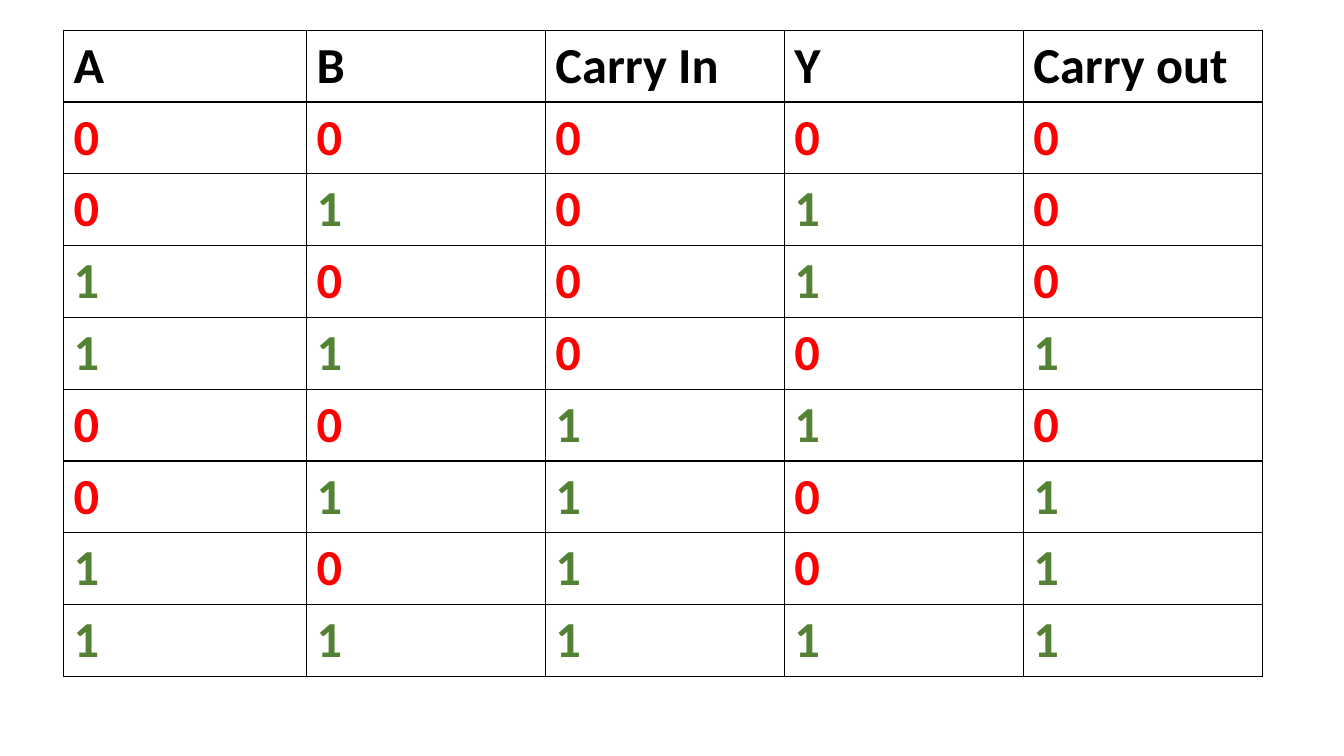
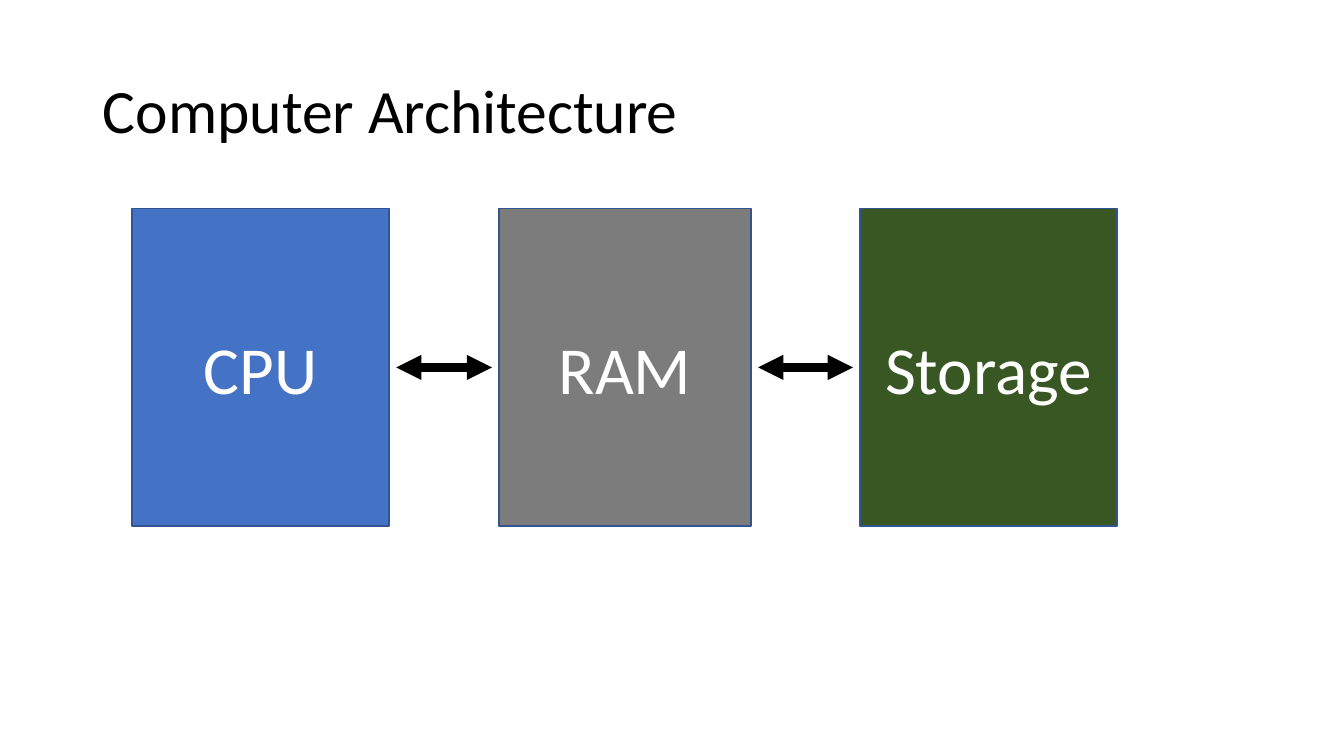
"""Build two slides: a full adder truth table and a computer architecture diagram."""
from dataclasses import dataclass
from itertools import pairwise, product

from lxml.etree import SubElement
from pptx import Presentation
from pptx.dml.color import RGBColor
from pptx.enum.shapes import MSO_CONNECTOR, MSO_SHAPE
from pptx.enum.text import MSO_ANCHOR, MSO_AUTO_SIZE, PP_ALIGN
from pptx.oxml.ns import qn
from pptx.presentation import Presentation as Deck
from pptx.slide import Slide
from pptx.table import _Cell as Cell
from pptx.text.text import _Paragraph as Paragraph
from pptx.util import Inches, Pt

TITLE_ONLY, BLANK = 5, 6


@dataclass(frozen=True)
class Theme:
    font: str = "Calibri"
    ink: str = "000000"
    paper: str = "FFFFFF"
    zero: str = "FF0000"
    one: str = "548235"
    cpu: str = "4472C4"
    ram: str = "7C7C7C"
    storage: str = "385723"
    outline: str = "325491"
    title_size: int = 44
    block_size: int = 48
    table_size: int = 36
    thin: int = 1
    thick: int = 6


@dataclass(frozen=True)
class Block:
    label: str
    left: float
    width: float
    fill: str

    @property
    def right(self) -> float:
        return self.left + self.width


THEME = Theme()
HEADINGS = ("A", "B", "Carry In", "Y", "Carry out")
COLUMN_WIDTHS = (2.41, 2.37, 2.37, 2.37, 2.37)
ROW_HEIGHT = 0.71
BLOCK_TOP, BLOCK_HEIGHT = 2.07, 3.15
ARROW_GAP = 0.07
BLOCKS = (
    Block("CPU", 1.31, 2.55, THEME.cpu),
    Block("RAM", 4.95, 2.5, THEME.ram),
    Block("Storage", 8.53, 2.55, THEME.storage),
)


def rgb(colour: str) -> RGBColor:
    return RGBColor.from_string(colour)


def style(paragraph: Paragraph, size: int, colour: str, bold: bool = False) -> None:
    font = paragraph.font
    font.name, font.size, font.bold = THEME.font, Pt(size), bold
    font.color.rgb = rgb(colour)


def adder_rows() -> list[tuple[int, ...]]:
    rows = []
    for carry_in, a, b in product((0, 1), repeat=3):
        carry_out, y = divmod(a + b + carry_in, 2)
        rows.append((a, b, carry_in, y, carry_out))
    return rows


def add_borders(cell: Cell) -> None:
    properties = cell._tc.get_or_add_tcPr()
    for side in ("a:lnL", "a:lnR", "a:lnT", "a:lnB"):
        border = SubElement(properties, qn(side), w=str(Pt(THEME.thin)))
        fill = SubElement(border, qn("a:solidFill"))
        SubElement(fill, qn("a:srgbClr"), val=THEME.ink)


def fill_cell(cell: Cell, text: str, colour: str) -> None:
    cell.text = text
    style(cell.text_frame.paragraphs[0], THEME.table_size, colour, bold=True)
    add_borders(cell)
    cell.fill.background()


def add_truth_table(slide: Slide) -> None:
    rows = [HEADINGS, *adder_rows()]
    table = slide.shapes.add_table(
        len(rows), len(HEADINGS), Inches(0.63), Inches(0.3),
        Inches(sum(COLUMN_WIDTHS)), Inches(ROW_HEIGHT * len(rows)),
    ).table
    table.first_row = table.horz_banding = False
    for column, width in zip(table.columns, COLUMN_WIDTHS):
        column.width = Inches(width)
    colours = {0: THEME.zero, 1: THEME.one}
    for row, values in zip(table.rows, rows):
        row.height = Inches(ROW_HEIGHT)
        for cell, value in zip(row.cells, values):
            fill_cell(cell, str(value), colours.get(value, THEME.ink))


def set_title(slide: Slide, text: str) -> None:
    title = slide.shapes.title
    title.left, title.top = Inches(0.92), Inches(0.4)
    title.width, title.height = Inches(11.5), Inches(1.45)
    frame = title.text_frame
    frame.text = text
    frame.auto_size = MSO_AUTO_SIZE.NONE
    frame.vertical_anchor = MSO_ANCHOR.MIDDLE
    paragraph = frame.paragraphs[0]
    paragraph.alignment, paragraph.line_spacing = PP_ALIGN.LEFT, 0.9
    style(paragraph, THEME.title_size, THEME.ink)


def add_block(slide: Slide, block: Block) -> None:
    box = slide.shapes.add_shape(
        MSO_SHAPE.RECTANGLE, Inches(block.left), Inches(BLOCK_TOP),
        Inches(block.width), Inches(BLOCK_HEIGHT),
    )
    box.shadow.inherit = False
    box.fill.solid()
    box.fill.fore_color.rgb = rgb(block.fill)
    box.line.color.rgb, box.line.width = rgb(THEME.outline), Pt(THEME.thin)
    frame = box.text_frame
    frame.text = block.label
    frame.vertical_anchor = MSO_ANCHOR.MIDDLE
    paragraph = frame.paragraphs[0]
    paragraph.alignment = PP_ALIGN.CENTER
    style(paragraph, THEME.block_size, THEME.paper)


def add_arrow(slide: Slide, source: Block, target: Block) -> None:
    middle = Inches(BLOCK_TOP + BLOCK_HEIGHT / 2)
    arrow = slide.shapes.add_connector(
        MSO_CONNECTOR.STRAIGHT, Inches(source.right + ARROW_GAP), middle,
        Inches(target.left - ARROW_GAP), middle,
    )
    arrow.line.color.rgb, arrow.line.width = rgb(THEME.ink), Pt(THEME.thick)
    outline = arrow.line._get_or_add_ln()
    for end in ("a:headEnd", "a:tailEnd"):
        SubElement(outline, qn(end), type="triangle")
    SubElement(arrow._element.spPr, qn("a:effectLst"))


def add_slide(deck: Deck, layout: int) -> Slide:
    return deck.slides.add_slide(deck.slide_layouts[layout])


def main() -> None:
    deck = Presentation()
    deck.slide_width, deck.slide_height = Inches(13.33), Inches(7.5)

    add_truth_table(add_slide(deck, BLANK))

    architecture = add_slide(deck, TITLE_ONLY)
    set_title(architecture, "Computer Architecture")
    for block in BLOCKS:
        add_block(architecture, block)
    for source, target in pairwise(BLOCKS):
        add_arrow(architecture, source, target)

    deck.save("out.pptx")


if __name__ == "__main__":
    main()
